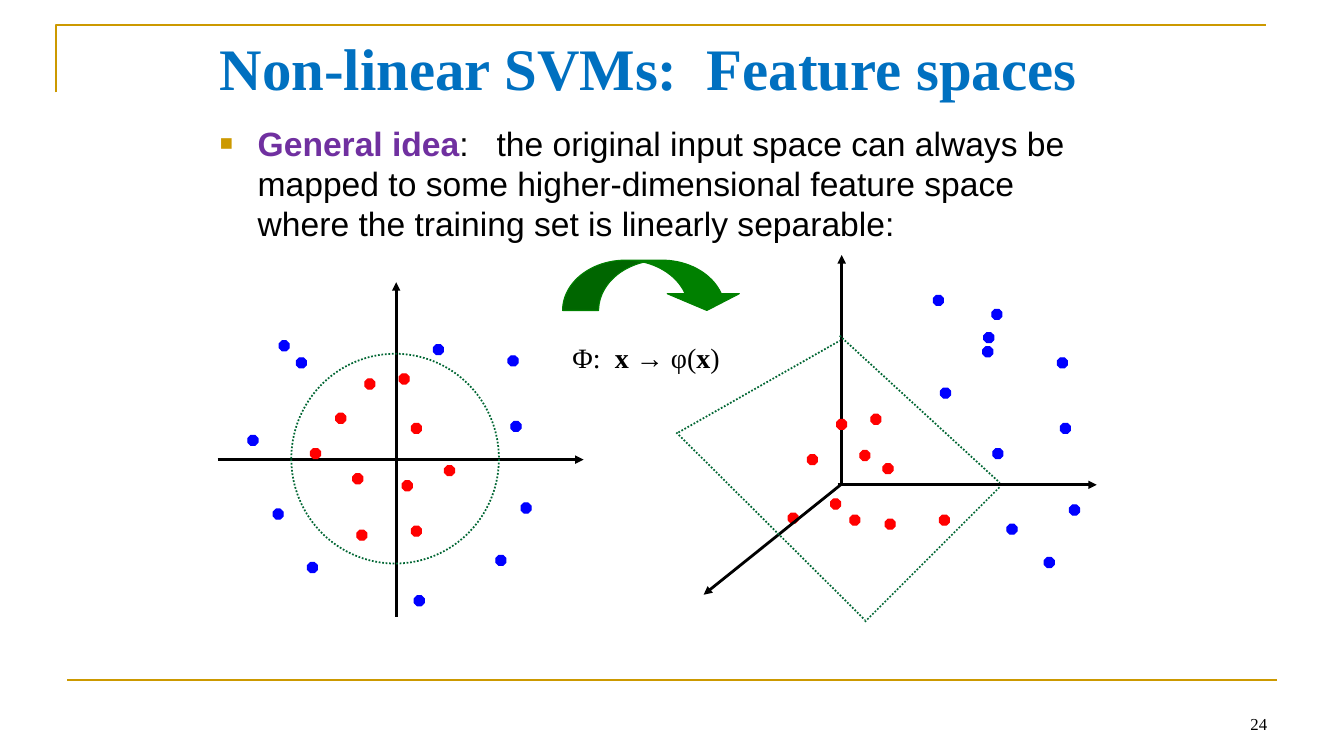
"""Build a slide on mapping data into a feature space for non-linear SVMs."""
from lxml import etree
from pptx import Presentation
from pptx import util as u
from pptx.dml.color import RGBColor
from pptx.enum import dml, shapes, text
from pptx.oxml.ns import qn

GOLD = RGBColor(0xCC, 0x99, 0x00)
SKY = RGBColor(0x00, 0x70, 0xC0)
PURPLE = RGBColor(0x70, 0x30, 0xA0)
BLACK = RGBColor(0, 0, 0)
RED = RGBColor(0xFF, 0, 0)
BLUE = RGBColor(0, 0, 0xFF)
PINE = RGBColor(0x00, 0x66, 0x33)
GREEN = RGBColor(0, 0x80, 0)
SERIF, SANS = "Times New Roman", "Arial"
SHAPE, ANCHOR, ALIGN = shapes.MSO_SHAPE, text.MSO_ANCHOR, text.PP_ALIGN

TITLE = [("Non-linear SVMs:  Feature spaces", True, SKY)]
IDEA = [
    ("General idea", True, PURPLE),
    (":   the original input space can always be mapped to some "
     "higher-dimensional feature space where the training set is "
     "linearly separable:", False, BLACK),
]
MAP = [("Φ:  ", False, BLACK), ("x → ", True, BLACK), ("φ(", False, BLACK),
       ("x", True, BLACK), (")", False, BLACK)]
PAGE = [("24", False, BLACK)]

DOT = 7.2
DOTS = {
    RED: [
        (285.1, 267.1), (239.8, 295.2), (252, 338.4), (293.8, 375.8),
        (260.6, 270.7), (221.8, 320.4), (254.9, 378.7), (293.8, 302.4),
        (317.5, 332.6), (287.3, 343.4),
        (622.1, 295.9), (576.7, 324.7), (607, 367.9), (671, 367.9),
        (597.6, 299.5), (614.2, 321.8), (632.2, 370.8), (630.7, 331.2),
        (593.3, 356.4), (563, 366.5),
    ],
    BLUE: [
        (365, 301), (354.2, 396.7), (177.1, 311), (295.9, 425.5),
        (372.2, 359.3), (219.6, 401.8), (195.1, 363.6), (199.4, 243.4),
        (309.6, 246.2), (211.7, 255.6), (362.9, 254.2),
        (757.4, 302.4), (745.9, 398.2), (708.5, 221), (709.2, 320.4),
        (763.9, 360.7), (671.8, 277.2), (719.3, 374.4), (702.7, 237.6),
        (702, 247.7), (666.7, 211), (755.3, 255.6),
    ],
}
AXES = [(283, 440.6, 283, 201.6), (155.5, 328.3, 416.9, 328.3),
        (601.2, 344.9, 601.2, 182.2), (598.3, 346.3, 783.4, 346.3)]
DEPTH = (600.5, 346.3, 502.6, 424.8)
PLANE = [(599.8, 239.8, 714.2, 344.9), (617.8, 444.2, 714.2, 347.8),
         (484.6, 308.9, 599.8, 243.4), (483.1, 308.9, 617.8, 442.8)]


def style(line, color, width, dots=False):
    line.color.rgb = color
    line.width = u.Pt(width)
    if dots:
        line.dash_style = dml.MSO_LINE.ROUND_DOT


def draw(slide, ends, color, width, dots=False, arrow=False):
    link = slide.shapes.add_connector(
        shapes.MSO_CONNECTOR.STRAIGHT, *map(u.Pt, ends))
    style(link.line, color, width, dots)
    if arrow:
        etree.SubElement(link.line._get_or_add_ln(), qn("a:tailEnd"),
                         type="triangle")
    etree.SubElement(link._element.spPr, qn("a:effectLst"))


def place(slide, kind, box, fill, edge, width=0.75, dots=False):
    shape = slide.shapes.add_shape(kind, *map(u.Pt, box))
    shape.shadow.inherit = False
    if fill is None:
        shape.fill.background()
    else:
        shape.fill.solid()
        shape.fill.fore_color.rgb = fill
    style(shape.line, edge, width, dots)
    return shape


def write(slide, box, runs, size, font, anchor=ANCHOR.TOP, align=ALIGN.LEFT):
    frame = slide.shapes.add_textbox(*map(u.Pt, box)).text_frame
    frame.word_wrap = True
    frame.vertical_anchor = anchor
    para = frame.paragraphs[0]
    para.alignment = align
    for words, bold, color in runs:
        run = para.add_run()
        run.text = words
        run.font.name = font
        run.font.size = u.Pt(size)
        run.font.bold = bold
        run.font.color.rgb = color
    return para


def mark(para):
    props = para._p.get_or_add_pPr()
    props.set("marL", str(u.Pt(27)))
    props.set("indent", str(u.Pt(-27)))
    tint = etree.SubElement(props, qn("a:buClr"))
    etree.SubElement(tint, qn("a:srgbClr"), val=str(GOLD))
    etree.SubElement(props, qn("a:buSzPct"), val="65000")
    etree.SubElement(props, qn("a:buFont"), typeface=SANS)
    etree.SubElement(props, qn("a:buChar"), char="■")


def main():
    deck = Presentation()
    deck.slide_width, deck.slide_height = u.Pt(960), u.Pt(540)
    slide = deck.slides.add_slide(deck.slide_layouts[6])

    pen = slide.shapes.build_freeform(u.Pt(40), u.Pt(66))
    pen.add_line_segments([(u.Pt(40), u.Pt(18)), (u.Pt(904), u.Pt(18))],
                          close=False)
    frame = pen.convert_to_shape()
    frame.shadow.inherit = False
    frame.fill.background()
    style(frame.line, GOLD, 1.5)
    draw(slide, (48, 486, 912, 486), GOLD, 1.5)

    write(slide, (150, 18, 654, 60), TITLE, 42, SERIF, ANCHOR.MIDDLE)
    idea = write(slide, (150, 84, 648, 396), IDEA, 24, SANS)
    idea.space_before = u.Pt(4.8)
    mark(idea)

    for ends in AXES:
        draw(slide, ends, BLACK, 2, arrow=True)
    for color, spots in DOTS.items():
        for left, top in spots:
            place(slide, SHAPE.OCTAGON, (left, top, DOT, DOT), color, color)
    place(slide, SHAPE.OVAL, (208.1, 252.7, 148.3, 149.8), None, PINE,
          1.25, True)
    draw(slide, DEPTH, BLACK, 2, arrow=True)
    for ends in PLANE:
        draw(slide, ends, PINE, 1.25, dots=True)

    bend = place(slide, SHAPE.CURVED_DOWN_ARROW, (401.8, 185.8, 128.9, 36),
                 GREEN, GREEN)
    for i, share in enumerate((0.717, 1.433, 0.333)):
        bend.adjustments[i] = share
    write(slide, (401.8, 239.8, 149.8, 31), MAP, 20, SERIF)
    write(slide, (688.3, 491.8, 223.9, 36), PAGE, 12, SERIF,
          ANCHOR.BOTTOM, ALIGN.RIGHT)
    deck.save("out.pptx")


if __name__ == "__main__":
    main()
